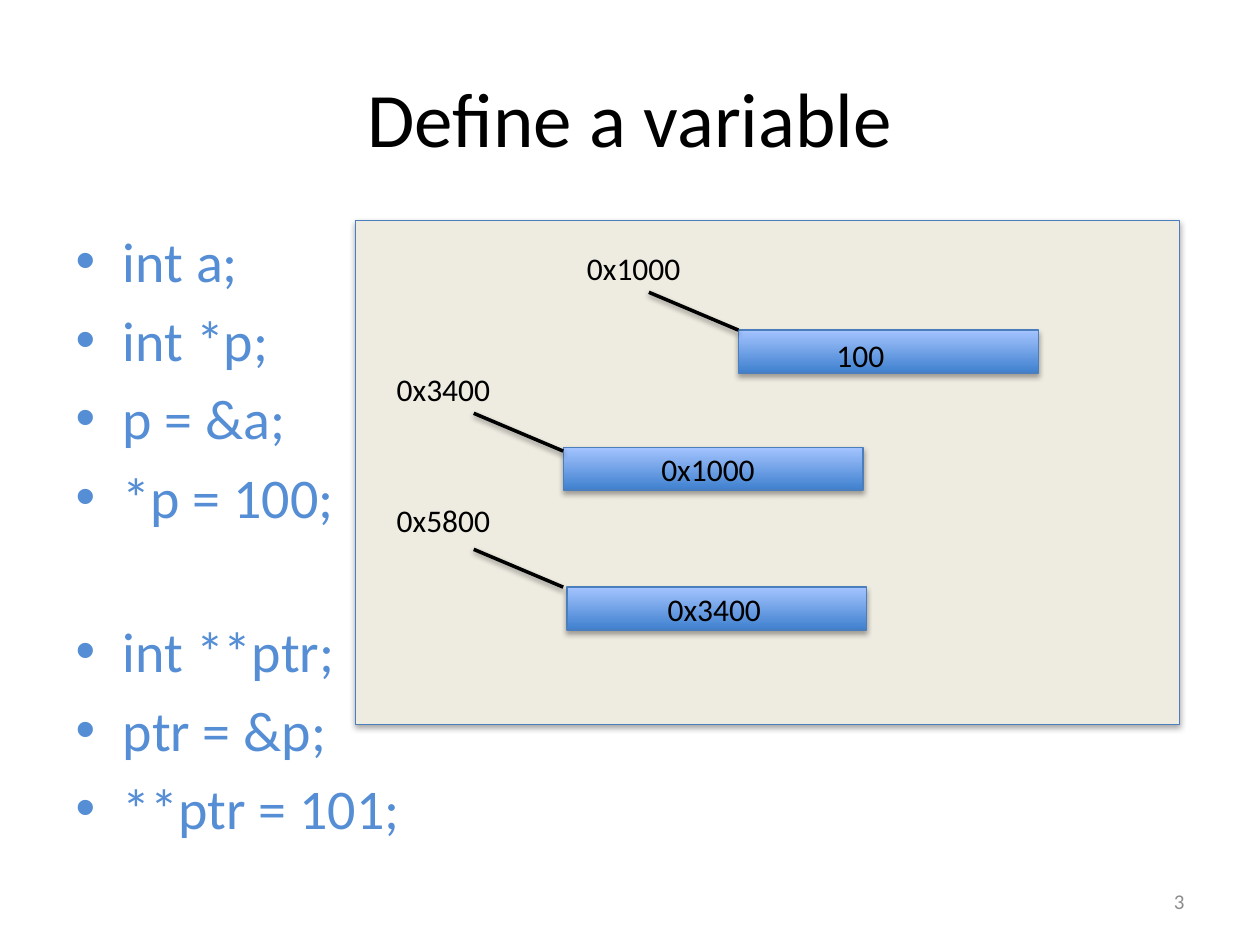
from dataclasses import dataclass

from lxml import etree
from pptx import Presentation
from pptx.dml.color import RGBColor
from pptx.enum.shapes import MSO_CONNECTOR, MSO_SHAPE
from pptx.enum.text import MSO_ANCHOR, MSO_AUTO_SIZE, PP_ALIGN
from pptx.oxml.ns import qn
from pptx.util import Emu, Pt

RECTANGLE = MSO_SHAPE.RECTANGLE
STRAIGHT = MSO_CONNECTOR.STRAIGHT
LEFT, CENTER, RIGHT = PP_ALIGN.LEFT, PP_ALIGN.CENTER, PP_ALIGN.RIGHT
TOP, MIDDLE = MSO_ANCHOR.TOP, MSO_ANCHOR.MIDDLE
NO_FIT, GROW = MSO_AUTO_SIZE.NONE, MSO_AUTO_SIZE.SHAPE_TO_FIT_TEXT

PX = 9144  # 100 px to the inch
CELL_SIZE = (238, 34)
LEADER_SPAN = (71, 30)
LABEL_HEIGHT = 40


@dataclass(frozen=True)
class Theme:
    font: str = "Calibri"
    ink: str = "000000"
    code: str = "558ED5"
    muted: str = "8C8C8C"
    memory: str = "EEECE1"
    outline: str = "4B7EBC"
    cell_bottom: str = "3F80CE"
    cell_top: str = "A4C4FF"
    title_size: int = 44
    code_size: int = 32
    label_size: int = 18
    number_size: int = 12


@dataclass(frozen=True)
class Label:
    text: str
    x: int
    y: int
    width: int = 95


@dataclass(frozen=True)
class MemoryCell:
    corner: tuple[int, int]
    leader_start: tuple[int, int]
    address: Label
    value: Label


THEME = Theme()

STATEMENTS = ["int a;", "int *p;", "p = &a;", "*p = 100;",
              "int **ptr;", "ptr = &p;", "**ptr = 101;"]
SECOND_GROUP = STATEMENTS.index("int **ptr;")
GROUP_GAP = 50  # points

CELLS = [
    MemoryCell((586, 262), (586, 262), Label("0x1000", 456, 193), Label("100", 654, 262, 59)),
    MemoryCell((447, 355), (447, 358), Label("0x3400", 305, 289), Label("0x1000", 515, 352)),
    MemoryCell((450, 466), (447, 466), Label("0x5800", 305, 393), Label("0x3400", 520, 463)),
]


def px(*lengths: int) -> list[Emu]:
    return [Emu(length * PX) for length in lengths]


def place(shape, *box: int) -> None:
    shape.left, shape.top, shape.width, shape.height = px(*box)


def write(frame, *lines: str, size: int, color: str = THEME.ink, align=LEFT,
          anchor=TOP, wrap: bool = True, fit=NO_FIT) -> None:
    frame.word_wrap, frame.auto_size, frame.vertical_anchor = wrap, fit, anchor
    for index, line in enumerate(lines):
        paragraph = frame.add_paragraph() if index else frame.paragraphs[0]
        paragraph.alignment = align
        run = paragraph.add_run()
        run.text = line
        run.font.name, run.font.size = THEME.font, Pt(size)
        run.font.color.rgb = RGBColor.from_string(color)


def cast_shadow(shape, distance: int, opacity: int) -> None:
    effects = etree.SubElement(shape._element.spPr, qn("a:effectLst"))
    shadow = etree.SubElement(effects, qn("a:outerShdw"), blurRad="40000",
                              dist=str(distance), dir="5400000", rotWithShape="0")
    black = etree.SubElement(shadow, qn("a:srgbClr"), val="000000")
    etree.SubElement(black, qn("a:alpha"), val=str(opacity * 1000))


def add_rectangle(slide, box: tuple[int, ...], *colors: str) -> None:
    """One colour fills flat; two run from bottom to top."""
    shape = slide.shapes.add_shape(RECTANGLE, *px(*box))
    if len(colors) == 1:
        shape.fill.solid()
        shape.fill.fore_color.rgb = RGBColor.from_string(colors[0])
    else:
        shape.fill.gradient()
        shape.fill.gradient_angle = 90
        for stop, color in zip(shape.fill.gradient_stops, colors):
            stop.color.rgb = RGBColor.from_string(color)
    shape.line.color.rgb = RGBColor.from_string(THEME.outline)
    shape.line.width = Pt(0.75)
    cast_shadow(shape, 23000, 35)


def add_leader(slide, start: tuple[int, int]) -> None:
    x, y = start
    leader = slide.shapes.add_connector(
        STRAIGHT, *px(x, y, x - LEADER_SPAN[0], y - LEADER_SPAN[1]))
    leader.line.color.rgb = RGBColor.from_string(THEME.ink)
    leader.line.width = Pt(2)
    cast_shadow(leader, 20000, 38)


def add_label(slide, label: Label) -> None:
    box = slide.shapes.add_textbox(*px(label.x, label.y, label.width, LABEL_HEIGHT))
    write(box.text_frame, label.text, size=THEME.label_size, wrap=False, fit=GROW)


def add_cell(slide, cell: MemoryCell) -> None:
    add_rectangle(slide, cell.corner + CELL_SIZE, THEME.cell_bottom, THEME.cell_top)
    add_leader(slide, cell.leader_start)
    add_label(slide, cell.address)
    add_label(slide, cell.value)


def main() -> None:
    deck = Presentation()
    deck.slide_width, deck.slide_height = px(1000, 750)
    slide = deck.slides.add_slide(deck.slide_layouts[1])

    # Title and code list
    title, code = slide.placeholders
    place(title, 50, 30, 900, 125)
    write(title.text_frame, "Define a variable", size=THEME.title_size,
          align=CENTER, anchor=MIDDLE)
    place(code, 50, 175, 900, 560)
    write(code.text_frame, *STATEMENTS, size=THEME.code_size, color=THEME.code)
    code.text_frame.paragraphs[SECOND_GROUP].space_before = Pt(GROUP_GAP)

    # Slide number
    number = slide.shapes.add_textbox(*px(717, 695, 233, 40))
    write(number.text_frame, "3", size=THEME.number_size, color=THEME.muted,
          align=RIGHT, anchor=MIDDLE)

    # Memory diagram
    add_rectangle(slide, (282, 175, 654, 400), THEME.memory)
    for cell in CELLS:
        add_cell(slide, cell)

    deck.save("out.pptx")


if __name__ == "__main__":
    main()
